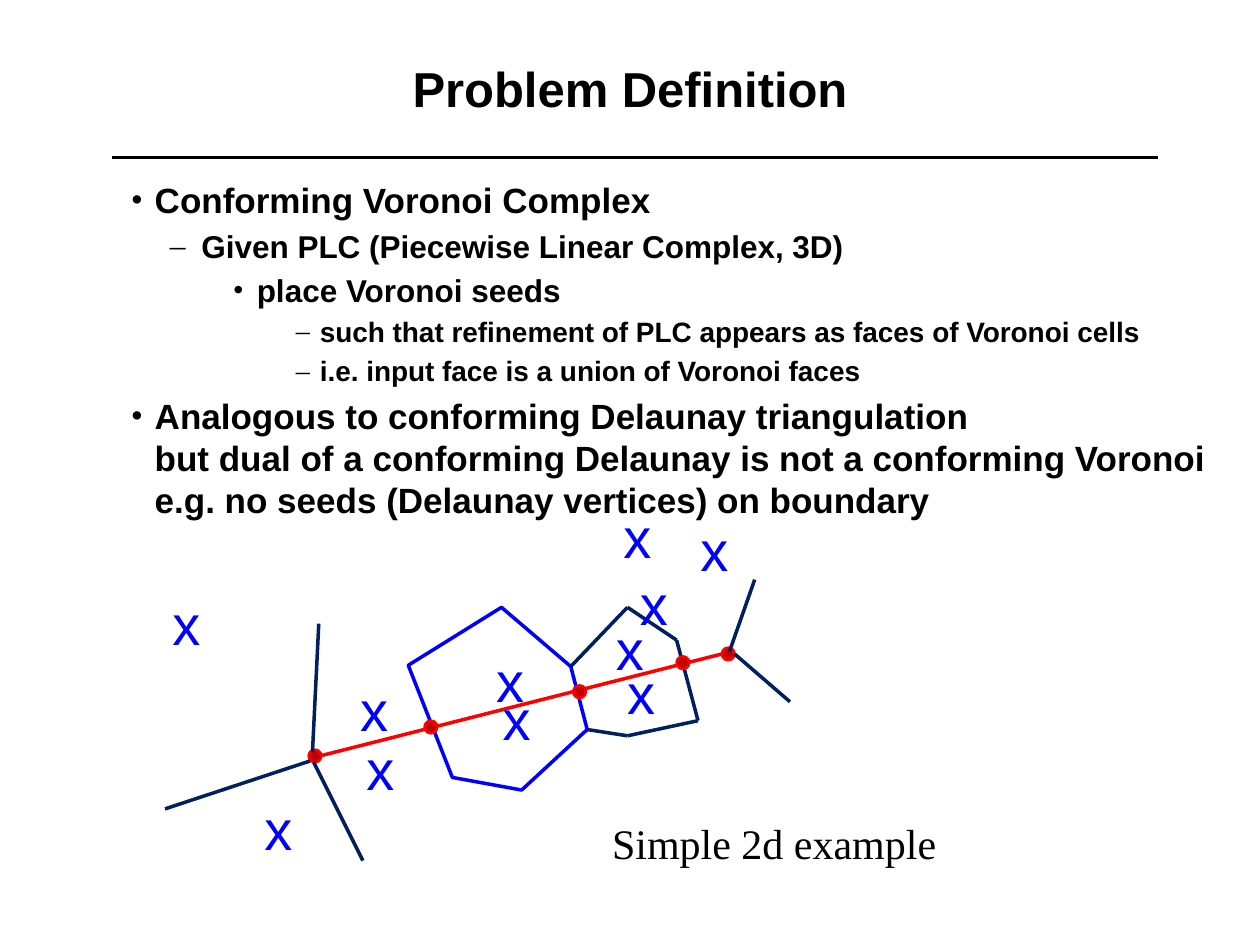
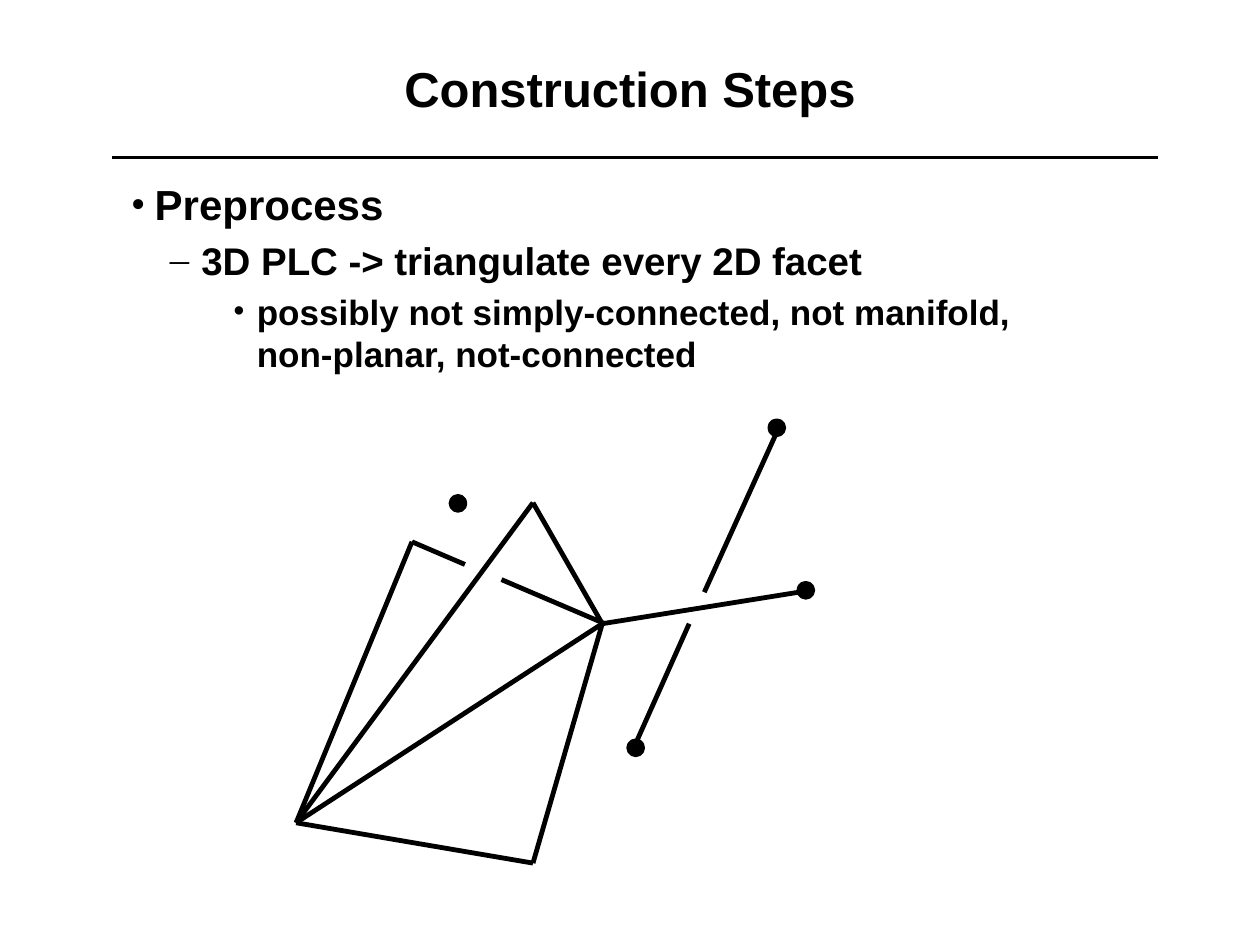
from itertools import pairwise

from lxml.etree import SubElement
from pptx import Presentation
from pptx.dml.color import RGBColor
from pptx.enum.shapes import MSO_CONNECTOR as Connector, MSO_SHAPE as Shape
from pptx.enum.text import MSO_ANCHOR as Anchor, PP_ALIGN as Align
from pptx.oxml.ns import qn
from pptx.util import Inches, Pt

BLACK, BLUE, NAVY, RED, DARK_RED = "000000", "0000FF", "002060", "FF0000", "C00000"
SANS, SERIF = "Arial", "Times New Roman"
# Bullet character, left margin and hanging indent of each level
LEVELS = [("•", 0.38, 0.19), ("–", 0.75, 0.25), ("•", 1.19, 0.19), ("–", 1.69, 0.19)]


def color(hex_string):
    return RGBColor.from_string(hex_string)


def write(para, text, size=20, font=SANS, fill=BLACK, bold=False, align=None):
    """Fill a paragraph with formatted text; a line feed is a line break."""
    para.text = text.replace("\n", "\v")
    para.alignment = align
    for span in para.runs:
        span.font.size = Pt(size)
        span.font.name = font
        span.font.bold = bold
        span.font.color.rgb = color(fill)


class Deck:
    def __init__(self):
        self.deck = Presentation()
        self.deck.slide_width, self.deck.slide_height = Inches(10), Inches(7.5)
        self.page = None

    def add_page(self, title):
        self.page = self.deck.slides.add_slide(self.deck.slide_layouts[5])
        self.line((0.89, 1.25), (9.19, 1.25), BLACK, 2)
        box = self.page.shapes.title
        box.left, box.top, box.width, box.height = map(Inches, (0.75, 0.14, 8.5, 1.11))
        box.text_frame.vertical_anchor = Anchor.MIDDLE
        write(box.text_frame.paragraphs[0], title, size=28, bold=True, align=Align.CENTER)

    def text(self, left, top, width, height, text, wrap=True, **style):
        box = self.page.shapes.add_textbox(*map(Inches, (left, top, width, height)))
        box.text_frame.word_wrap = wrap
        write(box.text_frame.paragraphs[0], text, **style)

    def bullets(self, width, height, items):
        box = self.page.shapes.add_textbox(*map(Inches, (0.75, 1.37, width, height)))
        frame = box.text_frame
        frame.word_wrap = True
        for index, (level, size, text) in enumerate(items):
            para = frame.paragraphs[0] if index == 0 else frame.add_paragraph()
            char, margin, hanging = LEVELS[level]
            para.level = level
            para.space_before = Pt(0.2 * size if index else 0)
            props = para._p.get_or_add_pPr()
            props.set("marL", str(Inches(margin)))
            props.set("indent", str(-Inches(hanging)))
            SubElement(props, qn("a:buFont")).set("typeface", SERIF)
            SubElement(props, qn("a:buChar")).set("char", char)
            write(para, text, size=size, bold=True)

    def line(self, start, end, fill, width):
        line = self.page.shapes.add_connector(
            Connector.STRAIGHT, *map(Inches, (*start, *end)))
        line.line.color.rgb = color(fill)
        line.line.width = Pt(width)
        SubElement(line._element.spPr, qn("a:effectLst"))

    def polygon(self, points, fill, width):
        corners = [(Inches(x), Inches(y)) for x, y in points]
        builder = self.page.shapes.build_freeform(*corners[0], scale=1.0)
        builder.add_line_segments(corners[1:], close=True)
        outline = builder.convert_to_shape()
        outline.shadow.inherit = False
        outline.fill.background()
        outline.line.color.rgb = color(fill)
        outline.line.width = Pt(width)

    def dot(self, left, top, size, fill, edge, width):
        dot = self.page.shapes.add_shape(
            Shape.OVAL, *map(Inches, (left, top, size, size)))
        dot.shadow.inherit = False
        dot.fill.solid()
        dot.fill.fore_color.rgb = color(fill)
        dot.line.color.rgb = color(edge)
        dot.line.width = Pt(width)

    def seed(self, left, top):
        self.text(left, top, 0.43, 0.64, "x", size=32, fill=BLUE)


def problem_definition(deck):
    deck.add_page("Problem Definition")
    deck.bullets(9.03, 1.21, [
        (0, 20, "Conforming Voronoi Complex"),
        (1, 18, "Given PLC (Piecewise Linear Complex, 3D)"),
        (2, 18, "place Voronoi seeds"),
        (3, 16, "such that refinement of PLC appears as faces of Voronoi cells"),
        (3, 16, "i.e. input face is a union of Voronoi faces"),
        (0, 20, "Analogous to conforming Delaunay triangulation\n"
                "but dual of a conforming Delaunay is not a conforming Voronoi\n"
                "e.g. no seeds (Delaunay vertices) on boundary"),
    ])

    # Input edge and Voronoi cells
    deck.line((2.46, 6.02), (5.77, 5.18), RED, 2)
    deck.polygon([(3.24, 5.28), (3.59, 6.17), (4.14, 6.27), (4.66, 5.79),
                  (4.53, 5.29), (3.98, 4.82)], BLUE, 2)
    right_cell = [(4.53, 5.29), (4.98, 4.82), (5.37, 5.08), (5.54, 5.72),
                  (4.98, 5.84), (4.66, 5.79)]
    for start, end in pairwise(right_cell):
        deck.line(start, end, NAVY, 2)

    # Vertices where cell faces meet the input edge
    for left, top in [(4.55, 5.44), (3.37, 5.72), (5.37, 5.21), (2.45, 5.95), (5.73, 5.14)]:
        deck.dot(left, top, 0.1, DARK_RED, RED, 1.5)

    # Voronoi seeds
    for left, top in [(3.89, 5.38), (3.84, 5.08), (4.79, 4.83), (4.88, 5.18),
                      (2.81, 5.78), (2.76, 5.31), (2, 6.26), (1.27, 4.63),
                      (4.85, 3.94), (4.98, 4.47), (5.46, 4.04)]:
        deck.seed(left, top)

    # Open cell faces at both ends
    for start, end in [((5.79, 5.17), (5.99, 4.6)), ((6.27, 5.57), (5.83, 5.19)),
                       ((2.88, 6.83), (2.49, 6.05)), ((1.31, 6.42), (2.46, 6.04)),
                       ((2.53, 4.95), (2.48, 5.97))]:
        deck.line(start, end, NAVY, 2)

    deck.text(4.76, 6.44, 2.8, 0.5, "Simple 2d example", wrap=False, size=24, font=SERIF)


def construction_steps(deck):
    deck.add_page("Construction Steps")
    deck.bullets(8.5, 5, [
        (0, 24, "Preprocess"),
        (1, 22, "3D PLC -> triangulate every 2D facet"),
        (2, 20, "possibly not simply-connected, not manifold,\n"
                "non-planar, not-connected"),
    ])

    # Triangles, with gaps where an edge passes behind another
    apex, hub, peak, base = (2.35, 6.53), (4.78, 4.95), (4.23, 3.99), (4.23, 6.85)
    back = (3.27, 4.3)
    for start, end in [(apex, hub), (apex, back), ((3.69, 4.48), back), (base, hub),
                       (base, apex), (apex, peak), (hub, peak),
                       ((4.8, 4.95), (3.98, 4.6)), ((6.34, 4.7), hub),
                       ((6.17, 3.42), (5.59, 4.7)), ((5.47, 4.95), (5.05, 5.89))]:
        deck.line(start, end, BLACK, 2.75)

    # End points and an isolated vertex
    for left, top in [(4.99, 5.88), (6.11, 3.34), (6.34, 4.63), (3.58, 3.94)]:
        deck.dot(left, top, 0.11, BLACK, BLACK, 2.75)


def main():
    deck = Deck()
    problem_definition(deck)
    construction_steps(deck)
    deck.deck.save("out.pptx")


if __name__ == "__main__":
    main()
